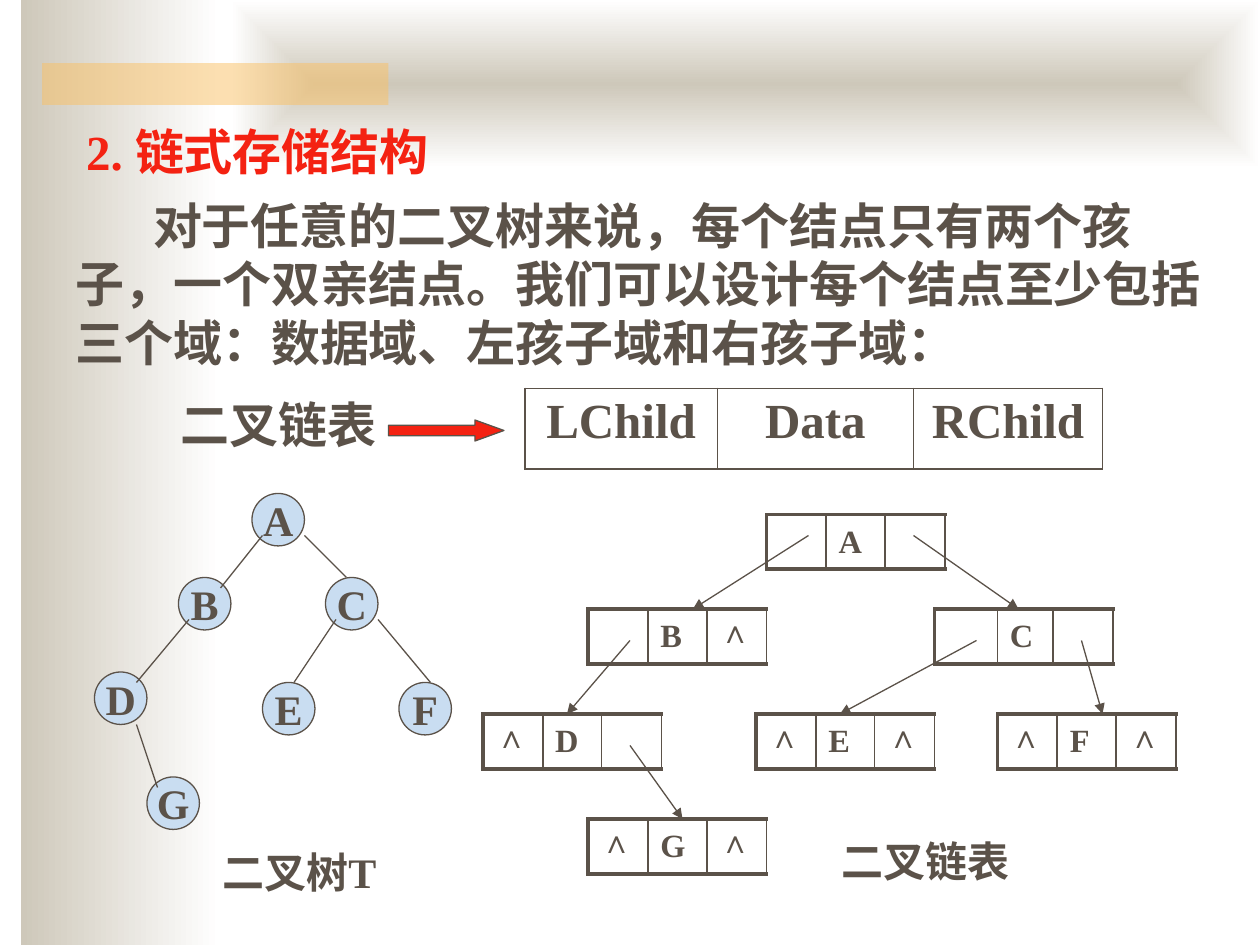
from lxml.etree import SubElement
from pptx import Presentation
from pptx.dml.color import RGBColor
from pptx.enum.shapes import MSO_CONNECTOR, MSO_SHAPE
from pptx.enum.text import MSO_ANCHOR, MSO_AUTO_SIZE, PP_ALIGN
from pptx.oxml import parse_xml
from pptx.oxml.ns import nsdecls, qn
from pptx.util import Emu, Pt

PX = 7620  # 120 px to the inch
SERIF, SANS = "Times New Roman", "Arial"
INK = RGBColor(0x5B, 0x52, 0x49)
RED = RGBColor(0xF4, 0x22, 0x12)
BLUE = RGBColor(0xC9, 0xDD, 0xF1)
SAND = RGBColor(0xCE, 0xC8, 0xBA)
GOLD = RGBColor(0xFA, 0xC1, 0x64)
WHITE = RGBColor(0xFF, 0xFF, 0xFF)


def px(*values):
    return [Emu(v * PX) for v in values]


def write(tf, text, size, color=INK, font=SERIF, align=PP_ALIGN.LEFT):
    p = tf.paragraphs[0]
    p.alignment = align
    p.space_before = Pt(0)
    r = p.add_run()
    r.text = text
    r.font.name, r.font.size, r.font.bold = font, Pt(size), True
    r.font.color.rgb = color
    return p


def add_text(shapes, box, text, size, font=SERIF):
    tf = shapes.add_textbox(*px(*box)).text_frame
    tf.word_wrap = True
    return write(tf, text, size, font=font)


def add_shape(shapes, kind, box, color=None, outlined=False):
    sp = shapes.add_shape(kind, *px(*box))
    sp.shadow.inherit = False
    if color is not None:
        sp.fill.solid()
        sp.fill.fore_color.rgb = color
    if outlined:
        sp.line.color.rgb = INK
        sp.line.width = Pt(0.75)
    else:
        sp.line.fill.background()
    return sp


def add_line(shapes, x1, y1, x2, y2, width=0.75, arrow=False):
    c = shapes.add_connector(MSO_CONNECTOR.STRAIGHT, *px(x1, y1, x2, y2))
    c.line.color.rgb = INK
    c.line.width = Pt(width)
    ln = c.line._get_or_add_ln()
    if width > 2:
        ln.set("cap", "sq")
    if arrow:
        SubElement(ln, qn("a:tailEnd"), type="triangle")
    SubElement(c._element.spPr, qn("a:effectLst"))


def add_backdrop(shapes):
    side = add_shape(shapes, MSO_SHAPE.RECTANGLE, (20, 0, 190, 900))
    top = add_shape(shapes, MSO_SHAPE.RECTANGLE, (220, 0, 980, 160))
    for sp in (side, top):
        sp.fill.gradient()
        sp.fill.gradient_angle = 0
        for stop, color, pos in zip(sp.fill.gradient_stops, (SAND, WHITE), (0, 1)):
            stop.color.rgb, stop.position = color, pos
    lin = top._element.spPr.find(".//" + qn("a:lin"))
    lin.getparent().replace(lin, parse_xml(
        f'<a:path {nsdecls("a")} path="rect">'
        '<a:fillToRect l="50000" t="50000" r="50000" b="50000"/></a:path>'))
    bar = add_shape(shapes, MSO_SHAPE.RECTANGLE, (40, 60, 330, 40), GOLD)
    clr = bar._element.spPr.find(".//" + qn("a:srgbClr"))
    SubElement(clr, qn("a:alpha"), val="50000")


def place_title(slide, box, text):
    title = slide.shapes.title
    title.left, title.top, title.width, title.height = px(*box)
    tf = title.text_frame
    tf.word_wrap = True
    tf.auto_size = MSO_AUTO_SIZE.NONE
    tf.vertical_anchor = MSO_ANCHOR.TOP
    write(tf, text, 28, RED)
    slide.shapes._spTree.append(title._element)  # in front of the backdrop


def add_body(shapes, box, text):
    """Add a paragraph with a first-line indent and no hanging punctuation."""
    p_pr = add_text(shapes, box, text, 28)._p.get_or_add_pPr()
    p_pr.set("indent", str(74 * PX))
    p_pr.set("hangingPunct", "0")


def set_borders(cell, widths):
    """Draw the left, right, top and bottom borders, widths in points."""
    tc_pr = cell._tc.get_or_add_tcPr()
    for i, (side, width) in enumerate(zip("LRTB", widths)):
        tc_pr.insert(i, parse_xml(
            f'<a:ln{side} {nsdecls("a")} w="{Pt(width)}"><a:solidFill>'
            f'<a:srgbClr val="{INK}"/></a:solidFill></a:ln{side}>'))


def add_field_table(shapes, x, y, height, fields):
    widths = [w for _, w in fields]
    table = shapes.add_table(1, len(fields), *px(x, y, sum(widths), height)).table
    table.first_row = table.horz_banding = False
    last = len(fields) - 1
    for i, (name, width) in enumerate(fields):
        table.columns[i].width = Emu(width * PX)
        cell = table.cell(0, i)
        cell.fill.background()
        write(cell.text_frame, name, 28, align=PP_ALIGN.CENTER)
        set_borders(cell, (1.08 if i == 0 else 0.45,
                           1.08 if i == last else 0.45, 1.08, 1.08))


def add_tree(shapes, x, y):
    nodes = {"A": (150, 0), "B": (80, 80), "C": (220, 80), "D": (0, 170),
             "E": (160, 180), "F": (290, 180), "G": (50, 270)}
    edges = [(160, 40, 120, 90), (200, 40, 240, 80), (90, 120, 40, 180),
             (230, 120, 190, 180), (270, 120, 320, 180), (40, 220, 60, 280)]
    for name, (dx, dy) in nodes.items():
        sp = add_shape(shapes, MSO_SHAPE.OVAL, (x + dx, y + dy, 50, 50), BLUE, True)
        tf = sp.text_frame
        tf.word_wrap = False
        tf.vertical_anchor = MSO_ANCHOR.MIDDLE
        write(tf, name, 24, align=PP_ALIGN.CENTER)
    for x1, y1, x2, y2 in edges:
        add_line(shapes, x + x1, y + y1, x + x2, y + y2)


def add_list_node(shapes, x, y, cells, first=57):
    """Draw a node of three cells; first is the width of its left cell."""
    w, h = 170, 52
    stops = (0, first, 113, w)
    for text, left, right in zip(cells, stops, stops[1:]):
        if text:
            p = add_text(shapes, (x + left, y, right - left, h), text, 18.5,
                         SANS if text == "∧" else SERIF)
            if text == "∧":
                p.line_spacing = 0.9
    for dy in (0, h):
        add_line(shapes, x, y + dy, x + w, y + dy, 2.25)
    for dx in stops:
        add_line(shapes, x + dx, y, x + dx, y + h, 1 if dx else 2.25)


def add_linked_list(shapes, x, y):
    nodes = [(270, 0, ("", "A", "")), (100, 90, ("", "B", "∧")),
             (430, 90, ("", "C", ""), 60), (0, 190, ("∧", "D", "")),
             (260, 190, ("∧", "E", "∧")), (490, 190, ("∧", "F", "∧")),
             (100, 290, ("∧", "G", "∧"))]
    arrows = [(310, 20, 200, 90), (410, 20, 510, 90), (140, 120, 80, 190),
              (140, 220, 190, 290), (470, 120, 340, 190), (570, 120, 590, 190)]
    for dx, dy, *content in nodes:
        add_list_node(shapes, x + dx, y + dy, *content)
    for x1, y1, x2, y2 in arrows:
        add_line(shapes, x + x1, y + y1, x + x2, y + y2, arrow=True)


def main():
    prs = Presentation()
    prs.slide_width, prs.slide_height = px(1200, 900)
    slide = prs.slides.add_slide(prs.slide_layouts[5])
    shapes = slide.shapes
    add_backdrop(shapes)
    place_title(slide, (70, 110, 1100, 68), "2. 链式存储结构")
    add_body(shapes, (60, 180, 1120, 180),
             "对于任意的二叉树来说，每个结点只有两个孩子，一个双亲结点。"
             "我们可以设计每个结点至少包括三个域：数据域、左孩子域和右孩子域：")
    add_field_table(shapes, 500, 370, 77,
                    [("LChild", 183), ("Data", 187), ("RChild", 180)])
    add_text(shapes, (160, 370, 260, 68), "二叉链表", 28)
    arrow = add_shape(shapes, MSO_SHAPE.RIGHT_ARROW, (370, 400, 110, 20), RED, True)
    arrow.adjustments[1] = 1.38
    add_tree(shapes.add_group_shape().shapes, 90, 470)
    add_linked_list(shapes.add_group_shape().shapes, 460, 490)
    add_text(shapes, (200, 800, 200, 60), "二叉树T", 24)
    add_text(shapes, (790, 790, 240, 60), "二叉链表", 24)
    prs.save("out.pptx")


if __name__ == "__main__":
    main()
